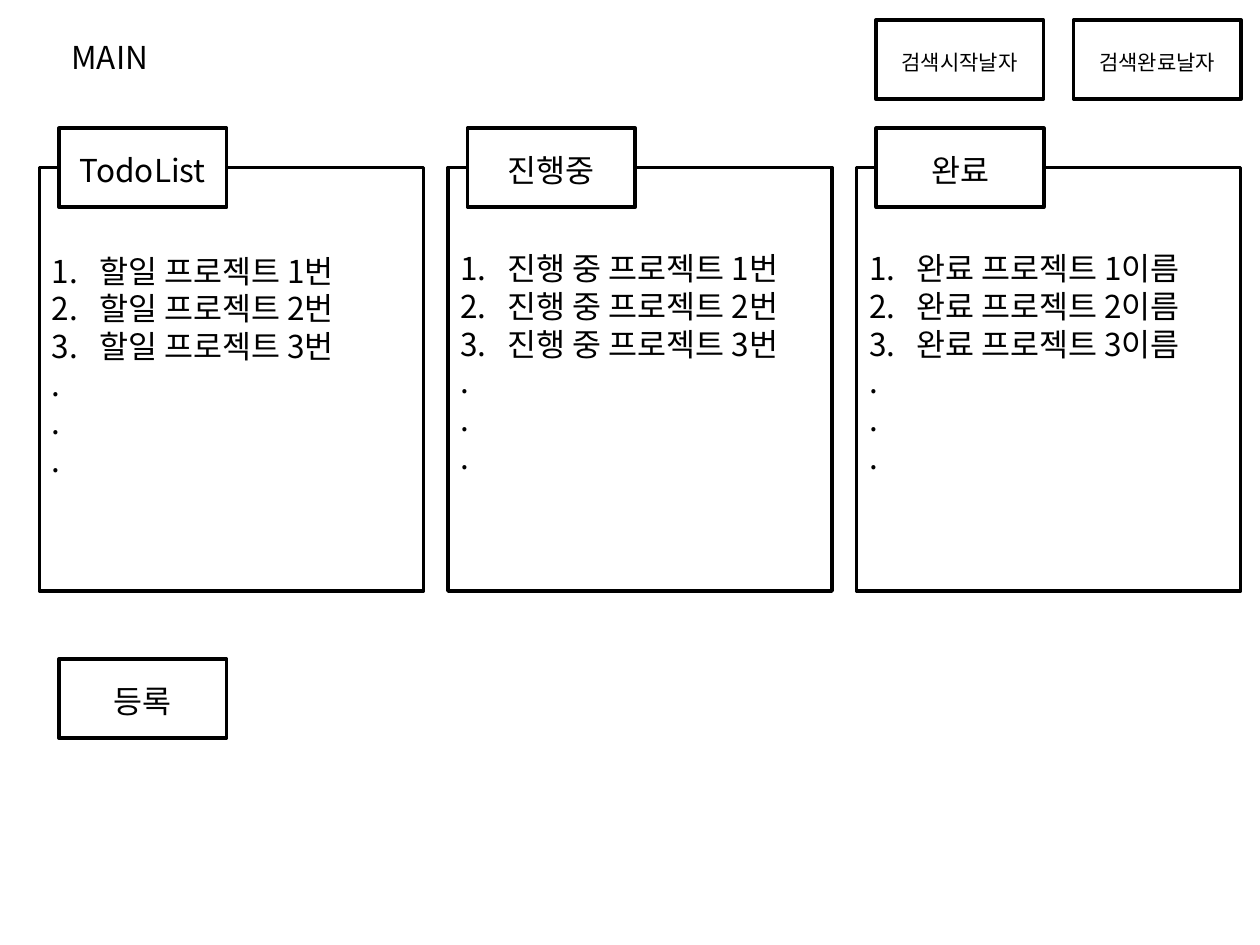
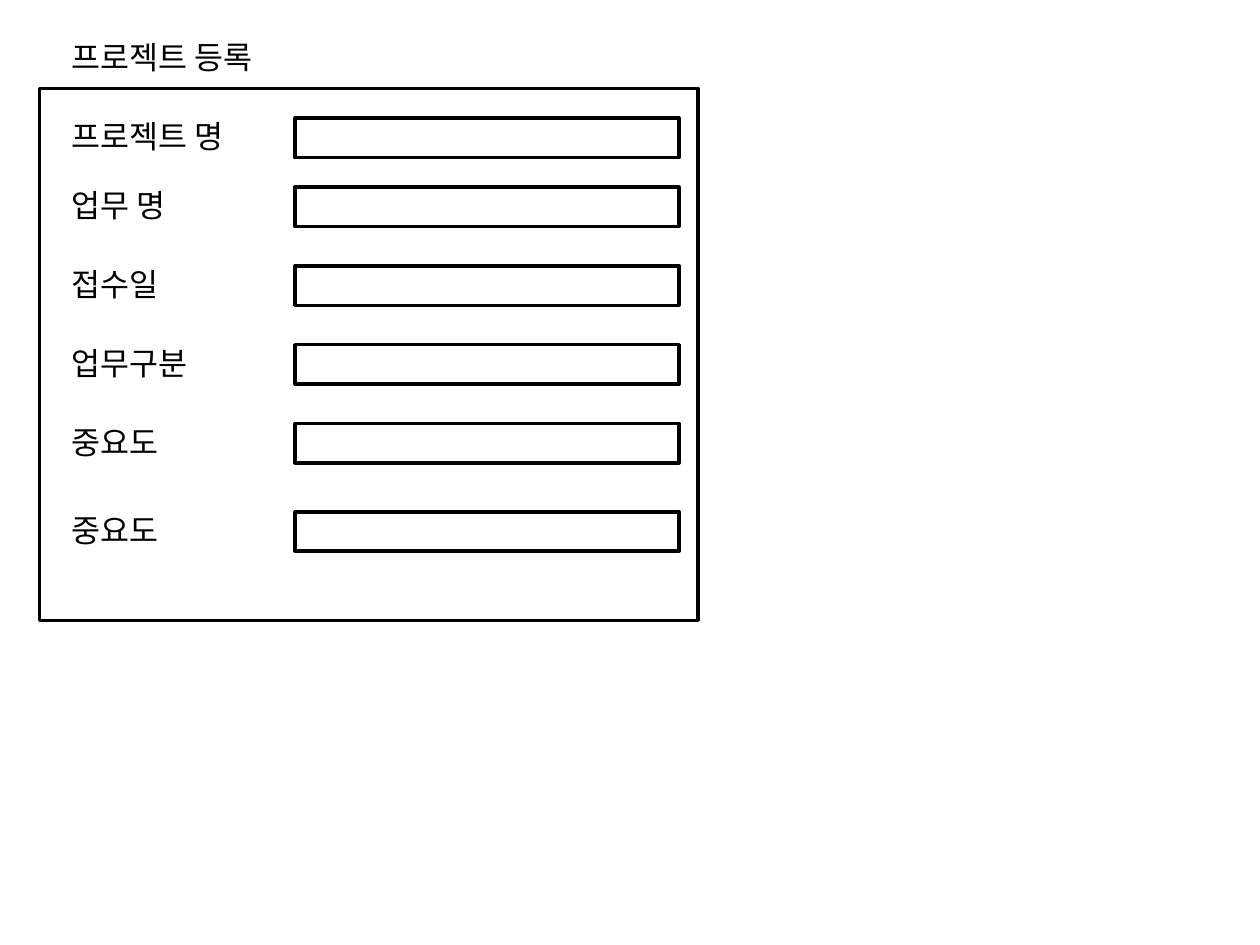
from itertools import accumulate
from lxml import etree
from pptx import Presentation
from pptx.dml.color import RGBColor
from pptx.enum import shapes, text
from pptx.oxml import ns
from pptx.util import Pt

# Content
MAIN_TITLE = "MAIN"
COLUMNS = [  # tab, numbered items, top inset of the list
    ("TodoList", [f"할일 프로젝트 {n}번" for n in (1, 2, 3)], 48),
    ("진행중", [f"진행 중 프로젝트 {n}번" for n in (1, 2, 3)], 46.5),
    ("완료", [f"완료 프로젝트 {n}이름" for n in (1, 2, 3)], 46.5),
]
MORE = ["."] * 3
SEARCH_DATES = ["검색시작날자", "검색완료날자"]
REGISTER = "등록"
FORM_TITLE = "프로젝트 등록"
FIELDS = ["프로젝트 명", "업무 명", "접수일", "업무구분", "중요도", "중요도"]

# Shared style
COLORS = {"ink": "000000", "paper": "FFFFFF"}
FONT = "Noto Sans CJK KR"
BODY, SMALL = 18, 12
LINE_RATIO = 1.2
INSETS = {"margin_left": 7.2, "margin_right": 7.2, "margin_top": 5, "margin_bottom": 2.2}

# Layout, in points
LEFT, TEXT_LEFT = 22.5, 33.75
TITLE_TOP = 16.5
BUTTON = (95.75, 45.25)
PANEL_TOP, PANEL, PANEL_STEP = 95.75, (219.5, 242), 233.5
TAB_TOP, SEARCH_TOP, REGISTER_TOP = 73.25, 11.5, 376.5
SEARCH_LEFT, SEARCH_STEP = 500.5, 113
LIST_INDENT = 27
FORM = (LEFT, 50.5, 376.5, 304)
FIELD_LEFT, FIELD = 168.5, (219.5, 22.5)
FIELD_TOPS = list(accumulate([67.5, 39.5, 45, 45, 45, 50.5]))
LABEL_RISE = 5.5


def color(name):
    return RGBColor.from_string(COLORS[name])


def apply(target, values):
    for name, value in values.items():
        setattr(target, name, value)


def write(box, lines, size=BODY, align=text.PP_ALIGN.LEFT, numbered=None, **insets):
    """Fill a box; numbered is how many leading lines carry a number."""
    frame = box.text_frame
    apply(frame, {name: Pt(value) for name, value in {**INSETS, **insets}.items()})
    for index, line in enumerate(lines):
        para = frame.paragraphs[0] if index == 0 else frame.add_paragraph()
        apply(para, {"alignment": align, "line_spacing": Pt(size * LINE_RATIO)})
        span = para.add_run()
        span.text = line
        apply(span.font, {"size": Pt(size), "name": FONT})
        span.font.color.rgb = color("ink")
        etree.SubElement(span.font._element, ns.qn("a:ea"), typeface=FONT)
        if numbered is not None:
            props = para._p.get_or_add_pPr()
            props.set("marL", str(Pt(LIST_INDENT)))
            props.set("indent", str(-Pt(LIST_INDENT)))
            if index < numbered:
                etree.SubElement(props, ns.qn("a:buAutoNum"), type="arabicPeriod")
    return frame


def add_rect(page, left, top, width, height, fill=None):
    box = page.shapes.add_shape(
        shapes.MSO_SHAPE.RECTANGLE, Pt(left), Pt(top), Pt(width), Pt(height))
    box.shadow.inherit = False
    if fill:
        box.fill.solid()
        box.fill.fore_color.rgb = color(fill)
    else:
        box.fill.background()
    box.line.color.rgb = color("ink")
    box.line.width = Pt(2)
    return box


def add_button(page, left, top, label, size=BODY):
    box = add_rect(page, left, top, *BUTTON, fill="paper")
    frame = write(box, [label], size, text.PP_ALIGN.CENTER)
    frame.vertical_anchor = text.MSO_ANCHOR.MIDDLE


def add_label(page, top, label):
    box = page.shapes.add_textbox(Pt(TEXT_LEFT), Pt(top), Pt(130), Pt(28.8))
    apply(write(box, [label]),
          {"word_wrap": False, "auto_size": text.MSO_AUTO_SIZE.SHAPE_TO_FIT_TEXT})


deck = Presentation()
apply(deck, {"slide_width": Pt(720), "slide_height": Pt(540)})
board, form = (deck.slides.add_slide(deck.slide_layouts[6]) for _ in range(2))

# Board: three tabbed lists, search dates and the register button
add_label(board, TITLE_TOP, MAIN_TITLE)
for index, (tab, items, inset) in enumerate(COLUMNS):
    shift = index * PANEL_STEP
    panel = add_rect(board, LEFT + shift, PANEL_TOP, *PANEL)
    frame = write(panel, items + MORE, numbered=len(items), margin_top=inset)
    frame.vertical_anchor = text.MSO_ANCHOR.TOP
    add_button(board, TEXT_LEFT + shift, TAB_TOP, tab)
for index, label in enumerate(SEARCH_DATES):
    add_button(board, SEARCH_LEFT + index * SEARCH_STEP, SEARCH_TOP, label, SMALL)
add_button(board, TEXT_LEFT, REGISTER_TOP, REGISTER)

# Registration form: labelled fields inside a frame
add_label(form, TITLE_TOP, FORM_TITLE)
for label, top in zip(FIELDS, FIELD_TOPS):
    add_rect(form, FIELD_LEFT, top, *FIELD)
    add_label(form, top - LABEL_RISE, label)
add_rect(form, *FORM)

deck.save("out.pptx")
